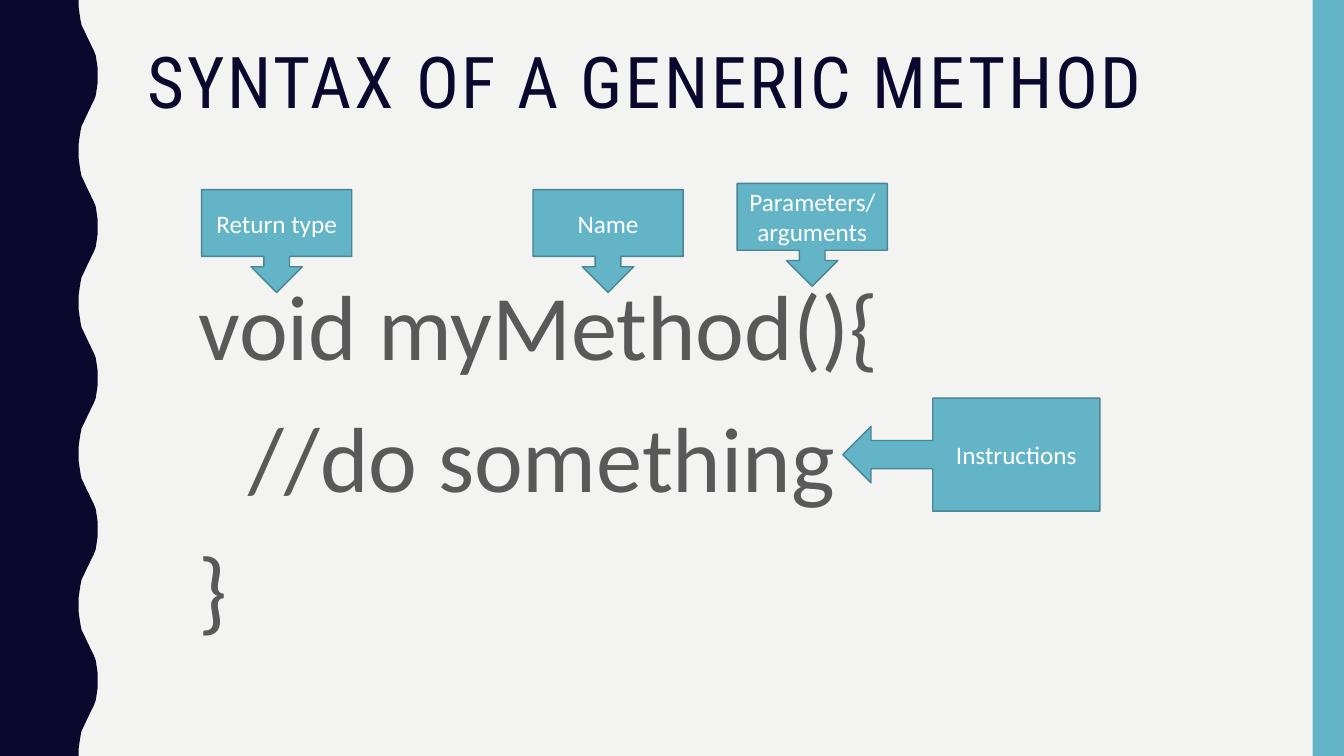
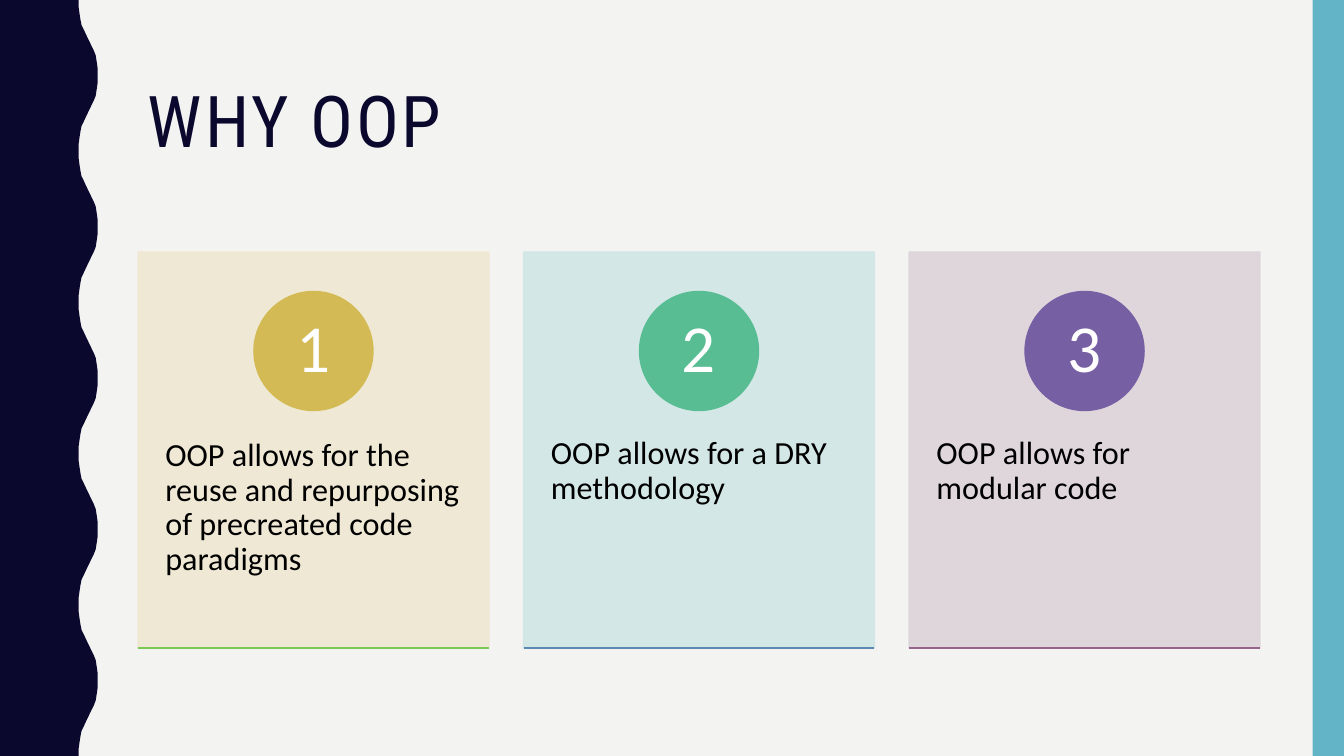
import pptx
import pptx.dml.color
import pptx.enum.shapes
import pptx.enum.text
import pptx.oxml.ns
import pptx.util
import lxml.etree

Pt = pptx.util.Pt
RGBColor = pptx.dml.color.RGBColor
MSO_SHAPE = pptx.enum.shapes.MSO_SHAPE
PP_ALIGN = pptx.enum.text.PP_ALIGN
MSO_ANCHOR = pptx.enum.text.MSO_ANCHOR
qn = pptx.oxml.ns.qn

PAPER = RGBColor(0xF3, 0xF3, 0xF2)
NAVY = RGBColor(0x0B, 0x08, 0x2E)
TEAL = RGBColor(0x62, 0xB4, 0xC6)
TEAL_EDGE = RGBColor(0x49, 0x85, 0x92)
GREY = RGBColor(0x59, 0x59, 0x59)
BLACK = RGBColor(0x00, 0x00, 0x00)
WHITE = RGBColor(0xFF, 0xFF, 0xFF)
SAND = RGBColor(0xEF, 0xE7, 0xD1)
MIST = RGBColor(0xD1, 0xE6, 0xE6)
LILAC = RGBColor(0xDD, 0xD3, 0xDA)
GOLD = RGBColor(0xD3, 0xBA, 0x55)
GREEN = RGBColor(0x58, 0xBD, 0x93)
PURPLE = RGBColor(0x77, 0x5F, 0xA4)
LIME = RGBColor(0x7A, 0xC8, 0x56)
BLUE = RGBColor(0x5B, 0x89, 0xB1)
PLUM = RGBColor(0x96, 0x64, 0x8A)

WIDTH, HEIGHT = 960, 540
LEFT, CONTENT_WIDTH = 98.6, 801.4
BODY_TOP, BODY_HEIGHT = 180, 283
WAVE_PERIOD = 108
WAVE_X = (56.2, 56.2, 56.9, 57.6, 58.3, 59.8, 61.2, 62.6,
          64.1, 65.5, 67, 68.4, 69.1, 69.8, 69.8)
WAVE_Y = (0, 5, 10, 14.5, 18, 21, 24, 27, 30, 33, 36, 39.5, 44, 49, 54)

TITLE = {"size": Pt(51), "name": "Roboto Condensed"}
CODE = {"size": Pt(66), "name": "Calibri"}
LABEL = {"size": Pt(18), "name": "Calibri"}
NUMBER = {"size": Pt(48), "name": "Calibri"}
CARD_TEXT = {"size": Pt(23), "name": "Calibri"}
CENTRED = {"alignment": PP_ALIGN.CENTER}
TIGHT = {"line_spacing": 0.9}
CODE_LINE = {"line_spacing": 1.1, "space_before": Pt(7)}


def assign(obj, values):
    """Set each named attribute of obj."""
    for name, value in values.items():
        setattr(obj, name, value)


def margins(x, y):
    """Return text frame margins for the given insets."""
    return {"margin_left": Pt(x), "margin_right": Pt(x),
            "margin_top": Pt(y), "margin_bottom": Pt(y)}


class Deck:
    """Holds the presentation style and the current slide."""

    def __init__(self):
        """Start an empty widescreen presentation."""
        self.prs = pptx.Presentation()
        assign(self.prs, {"slide_width": Pt(WIDTH), "slide_height": Pt(HEIGHT)})

    def slide(self, title, anchor):
        """Add a slide with background, wave, side band and title."""
        self.s = self.prs.slides.add_slide(self.prs.slide_layouts[6])
        fill = self.s.background.fill
        fill.solid()
        fill.fore_color.rgb = PAPER
        self.wave()
        self.shape(MSO_SHAPE.RECTANGLE, (937.6, 0, 22.4, HEIGHT), TEAL)
        sp = self.text((LEFT, 30, CONTENT_WIDTH, 117.4), [title], TITLE, NAVY,
                       TIGHT, {"vertical_anchor": anchor})
        sp.text_frame.paragraphs[0].runs[0].font._element.set("spc", "200")

    def wave(self):
        """Draw the wavy band along the left edge."""
        half = list(zip(WAVE_X, WAVE_Y))
        cycle = half + [(x, WAVE_PERIOD - y) for x, y in half[-2::-1]]
        edge = [(x, y + top) for top in range(0, HEIGHT, WAVE_PERIOD)
                for x, y in cycle]
        points = [(Pt(x), Pt(y)) for x, y in edge + [(0, HEIGHT)]]
        builder = self.s.shapes.build_freeform(0, 0)
        builder.add_line_segments(points)
        self.paint(builder.convert_to_shape(), NAVY)

    def paint(self, sp, fill, line=None, alpha=None):
        """Give a shape its fill and outline without a shadow."""
        sp.shadow.inherit = False
        sp.fill.solid()
        sp.fill.fore_color.rgb = fill
        if line is None:
            sp.line.fill.background()
        else:
            sp.line.width = Pt(1)
            sp.line.color.rgb = line
        if alpha is not None:
            for color in sp._element.spPr.iter(qn("a:srgbClr")):
                lxml.etree.SubElement(color, qn("a:alpha"), val=str(alpha * 1000))

    def shape(self, kind, box, fill, line=None, alpha=None):
        """Add a preset shape."""
        sp = self.s.shapes.add_shape(kind, *map(Pt, box))
        self.paint(sp, fill, line, alpha)
        return sp

    def fill_text(self, sp, lines, font, color, paragraph, frame):
        """Put one paragraph per line into a shape."""
        tf = sp.text_frame
        assign(tf, {"word_wrap": True, **frame})
        for i, line in enumerate(lines):
            p = tf.add_paragraph() if i else tf.paragraphs[0]
            assign(p, paragraph)
            r = p.add_run()
            r.text = line
            assign(r.font, font)
            r.font.color.rgb = color

    def text(self, box, lines, font, color, paragraph, frame):
        """Add a text box."""
        sp = self.s.shapes.add_textbox(*map(Pt, box))
        self.fill_text(sp, lines, font, color, paragraph, frame)
        return sp

    def code(self, lines):
        """Add the indented code listing."""
        sp = self.text((LEFT, BODY_TOP, CONTENT_WIDTH, BODY_HEIGHT), lines,
                       CODE, GREY, CODE_LINE, {})
        for p in sp.text_frame.paragraphs:
            pPr = p._p.get_or_add_pPr()
            pPr.set("marL", str(Pt(36)))
            pPr.set("indent", "0")

    def callout(self, kind, box, label):
        """Add a labelled arrow callout."""
        sp = self.shape(kind, box, TEAL, TEAL_EDGE)
        self.fill_text(sp, [label], LABEL, WHITE, CENTRED,
                       {"vertical_anchor": MSO_ANCHOR.MIDDLE})

    def rule(self, x, y, width, color):
        """Add a thin horizontal line."""
        line = self.s.shapes.add_connector(
            pptx.enum.shapes.MSO_CONNECTOR.STRAIGHT, *map(Pt, (x, y, x + width, y)))
        line.line.width = Pt(1)
        line.line.color.rgb = color
        lxml.etree.SubElement(line._element.spPr, qn("a:effectLst"))

    def card(self, x, width, number, text, colors):
        """Add a numbered card with a coloured base line."""
        panel, badge, base = colors
        size = 85
        self.shape(MSO_SHAPE.RECTANGLE, (x, BODY_TOP, width, BODY_HEIGHT),
                   panel, panel, 90)
        self.text((x, 287.3, width, 170), [text], CARD_TEXT, BLACK, TIGHT,
                  margins(19.5, 26))
        sp = self.shape(MSO_SHAPE.OVAL,
                        (x + (width - size) / 2, 208.2, size, size), badge, badge)
        self.fill_text(sp, [str(number)], NUMBER, WHITE, {**CENTRED, **TIGHT},
                       {"vertical_anchor": MSO_ANCHOR.MIDDLE, **margins(6.5, 1)})
        self.rule(x, BODY_TOP + BODY_HEIGHT, width, base)


def main():
    """Build both slides and save them."""
    deck = Deck()
    deck.slide("SYNTAX OF A GENERIC METHOD", MSO_ANCHOR.TOP)
    deck.code(["void myMethod(){", "\t//do something", "}"])
    for x, y, label in ((144, 135.4, "Return type"), (380.7, 135.4, "Name"),
                        (526.5, 131, "Parameters/arguments")):
        deck.callout(MSO_SHAPE.DOWN_ARROW_CALLOUT, (x, y, 107.3, 73.5), label)
    deck.callout(MSO_SHAPE.LEFT_ARROW_CALLOUT, (602, 284.4, 183.6, 80.7),
                 "Instructions")

    deck.slide("WHY OOP", MSO_ANCHOR.MIDDLE)
    cards = (
        ("OOP allows for the reuse and repurposing of precreated code paradigms",
         (SAND, GOLD, LIME)),
        ("OOP allows for a DRY methodology", (MIST, GREEN, BLUE)),
        ("OOP allows for modular code", (LILAC, PURPLE, PLUM)),
    )
    gap = 24.8
    width = (CONTENT_WIDTH - gap * (len(cards) - 1)) / len(cards)
    for i, (text, colors) in enumerate(cards):
        deck.card(LEFT + i * (width + gap), width, i + 1, text, colors)
    deck.prs.save("out.pptx")


if __name__ == "__main__":
    main()
